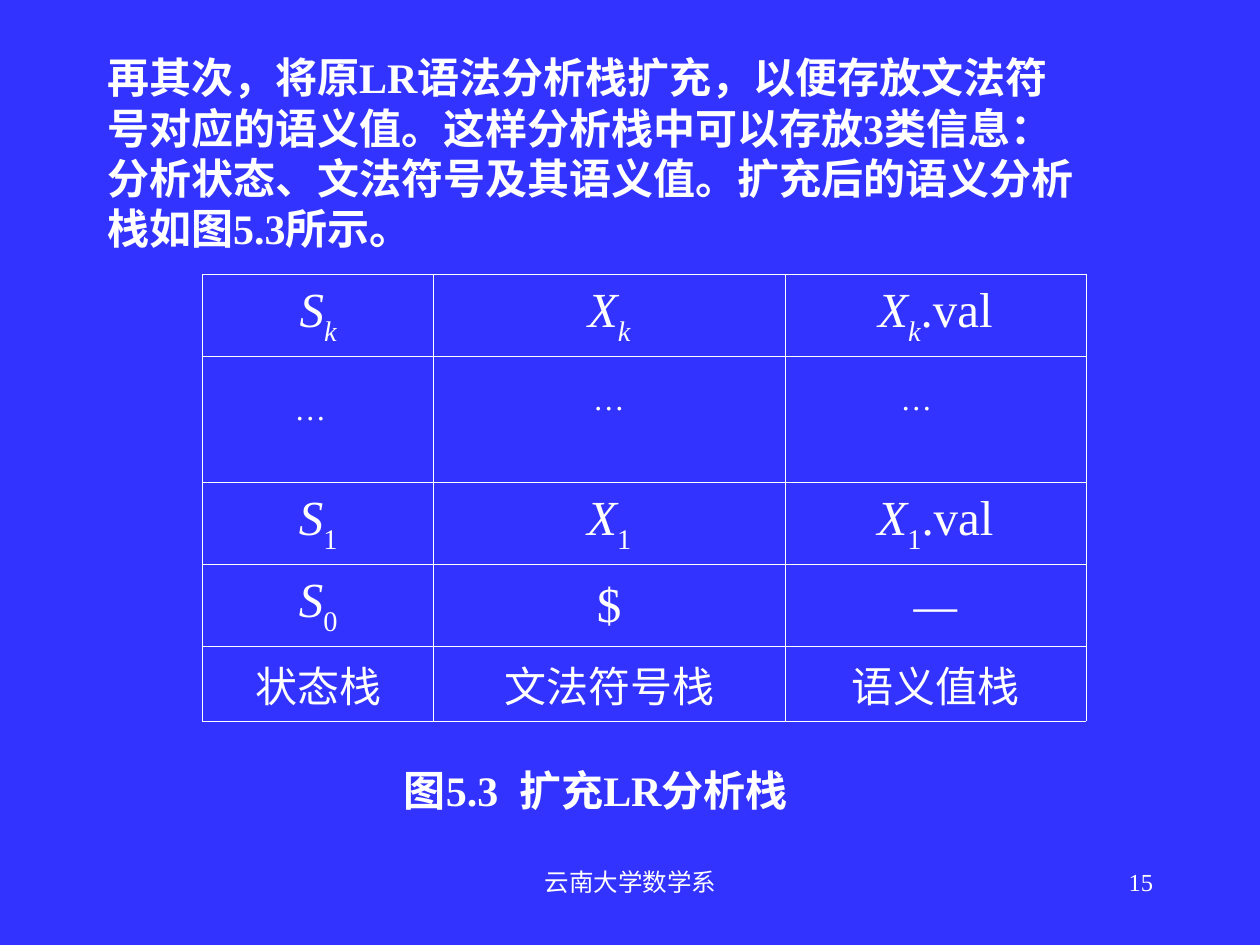
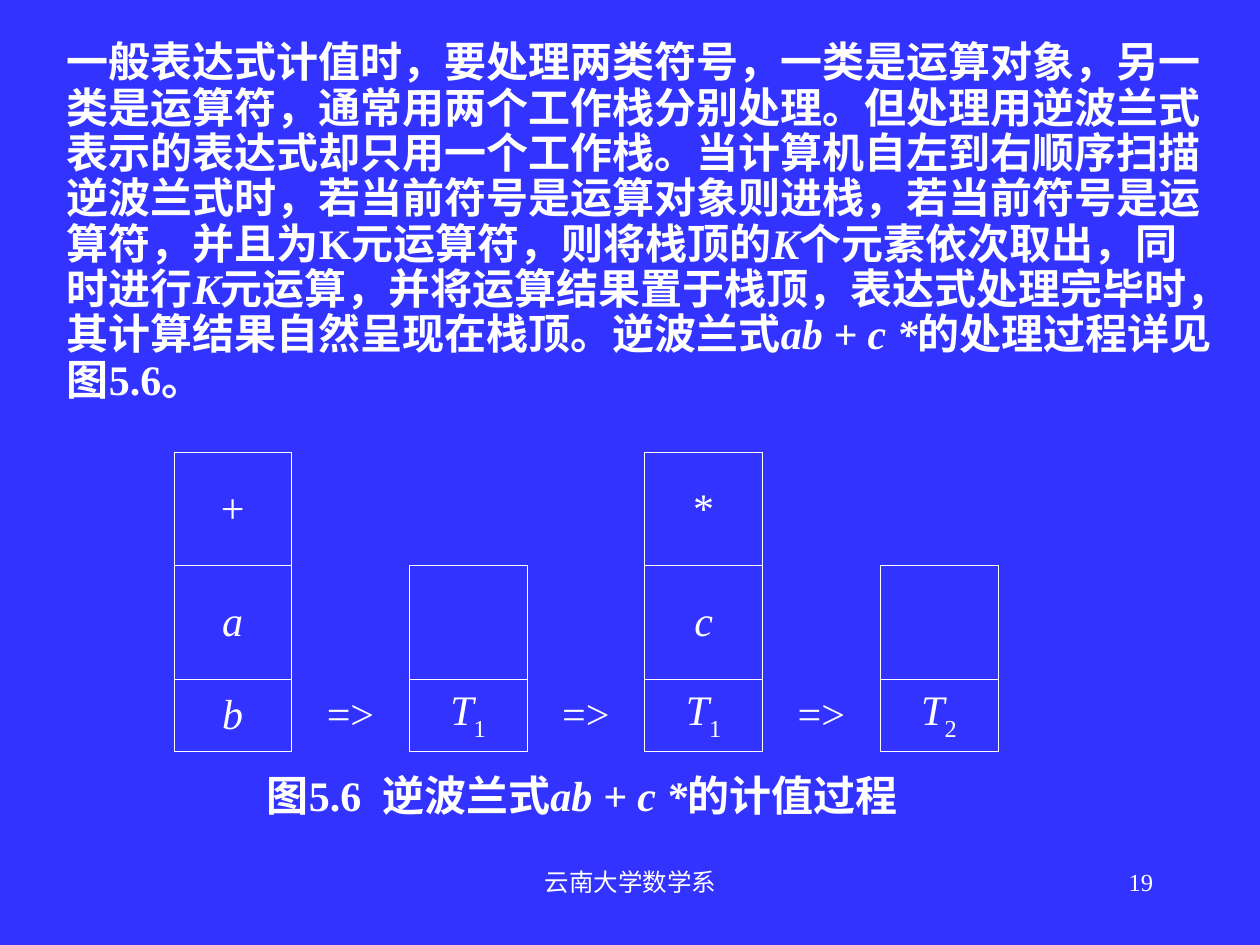
import lxml.etree
import pptx
import pptx.dml.color
import pptx.enum.text
import pptx.oxml.ns
import pptx.util

PIXEL = 9144  # EMU in one px, 100 px to the inch
WHITE = pptx.dml.color.RGBColor(0xFF, 0xFF, 0xFF)
BLUE = pptx.dml.color.RGBColor(0x33, 0x33, 0xFF)
FONT = "Times New Roman"
BORDER_WIDTH = pptx.util.Pt(0.45)
NO_GRID_STYLE = "{2D5ABB26-0587-4C30-8999-92F81FD0307C}"
LEFT = pptx.enum.text.PP_ALIGN.LEFT
CENTER = pptx.enum.text.PP_ALIGN.CENTER
RIGHT = pptx.enum.text.PP_ALIGN.RIGHT
MIDDLE = pptx.enum.text.MSO_ANCHOR.MIDDLE
NEIGHBOURS = {"lnL": (0, -1), "lnR": (0, 1), "lnT": (-1, 0), "lnB": (1, 0)}


def write_runs(text_frame, runs, size, bold=False, **paragraph_format):
    """Write (text, style) runs; style may hold i for italic and _ for subscript."""
    paragraph = text_frame.paragraphs[0]
    for name, value in paragraph_format.items():
        setattr(paragraph, name, value)
    for text, style in runs:
        run = paragraph.add_run()
        run.text = text
        run.font.color.rgb = WHITE
        font_format = {"name": FONT, "size": pptx.util.Pt(size),
                       "bold": bold, "italic": "i" in style}
        for name, value in font_format.items():
            setattr(run.font, name, value)
        if "_" in style:
            run.font._element.set("baseline", "-30000")


def add_stack_table(slide, left, top, widths, heights, cells, boxed):
    """Add a table where only the (row, column) pairs in boxed have borders."""
    frame = slide.shapes.add_table(
        len(heights), len(widths), left * PIXEL, top * PIXEL,
        round(sum(widths) * PIXEL), sum(heights) * PIXEL)
    table = frame.table
    properties = table._tbl.tblPr
    properties.find(pptx.oxml.ns.qn("a:tableStyleId")).text = NO_GRID_STYLE
    table.first_row = table.horz_banding = False
    for column, width in zip(table.columns, widths):
        column.width = round(width * PIXEL)
    for row, height in zip(table.rows, heights):
        row.height = height * PIXEL
    for row in range(len(heights)):
        for column in range(len(widths)):
            cell = table.cell(row, column)
            cell.vertical_anchor = MIDDLE
            cell_properties = cell._tc.get_or_add_tcPr()
            for tag, (down, right) in NEIGHBOURS.items():
                line = lxml.etree.SubElement(
                    cell_properties, pptx.oxml.ns.qn("a:" + tag), w=str(BORDER_WIDTH))
                if {(row, column), (row + down, column + right)} & boxed:
                    fill = lxml.etree.SubElement(line, pptx.oxml.ns.qn("a:solidFill"))
                    lxml.etree.SubElement(
                        fill, pptx.oxml.ns.qn("a:srgbClr"), val=str(WHITE))
                else:
                    lxml.etree.SubElement(line, pptx.oxml.ns.qn("a:noFill"))
            cell.fill.background()
            if (row, column) in cells:
                size, runs = cells[row, column]
                write_runs(cell.text_frame, runs, size, alignment=CENTER)


presentation = pptx.Presentation()
presentation.slide_width = 1000 * PIXEL
presentation.slide_height = 750 * PIXEL
background = presentation.slide_master.background.fill
background.solid()
background.fore_color.rgb = BLUE

stack_intro = [(
    "再其次，将原LR语法分析栈扩充，以便存放文法符号对应的语义值。"
    "这样分析栈中可以存放3类信息：分析状态、文法符号及其语义值。"
    "扩充后的语义分析栈如图5.3所示。", "")]
evaluation_intro = [
    ("一般表达式计值时，要处理两类符号，一类是运算对象，另一类是运算符，"
     "通常用两个工作栈分别处理。但处理用逆波兰式表示的表达式却只用一个工作栈。"
     "当计算机自左到右顺序扫描逆波兰式时，若当前符号是运算对象则进栈，"
     "若当前符号是运算符，并且为K元运算符，则将栈顶的", ""),
    ("K", "i"), ("个元素依次取出，同时进行", ""), ("K", "i"),
    ("元运算，并将运算结果置于栈顶，表达式处理完毕时，"
     "其计算结果自然呈现在栈顶。逆波兰式", ""),
    ("ab + c *", "i"), ("的处理过程详见图5.6。", "")]
stack_caption = [("图5.3  扩充LR分析栈 ", "")]
evaluation_caption = [("图5.6  逆波兰式", ""), ("ab + c *", "i"), ("的计值过程", "")]

# Page number, body box, body spacing, body runs, caption box, alignment, runs
pages = [
    ("15", (75, 36, 795, 226), {"space_before": pptx.util.Pt(6), "line_spacing": 1.0},
     stack_intro, (264, 602, 425, 50), CENTER, stack_caption),
    ("19", (43, 28, 929, 323), {"space_before": pptx.util.Pt(4.5), "line_spacing": 0.9},
     evaluation_intro, (202, 606, 565, 50), LEFT, evaluation_caption),
]
slides = []
for number, body_box, spacing, intro, caption_box, caption_align, caption in pages:
    slide = presentation.slides.add_slide(presentation.slide_layouts[1])
    slides.append(slide)
    title = slide.shapes.title._element
    title.getparent().remove(title)

    body = slide.placeholders[1]
    body.left, body.top, body.width, body.height = [length * PIXEL for length in body_box]
    body.text_frame.auto_size = pptx.enum.text.MSO_AUTO_SIZE.NONE
    write_runs(body.text_frame, intro, 24, bold=True, **spacing)
    paragraph_properties = body.text_frame.paragraphs[0]._p.get_or_add_pPr()
    paragraph_properties.set("marL", "0")
    paragraph_properties.set("indent", "0")
    lxml.etree.SubElement(paragraph_properties, pptx.oxml.ns.qn("a:buNone"))

    text_boxes = [
        ((342, 683, 317, 50), [("云南大学数学系", "")], 14, False, CENTER),
        ((717, 683, 208, 50), [(number, "")], 14, False, RIGHT),
        (caption_box, caption, 24, True, caption_align),
    ]
    for box, runs, size, bold, alignment in text_boxes:
        text_frame = slide.shapes.add_textbox(*[length * PIXEL for length in box]).text_frame
        text_frame.word_wrap = True
        if runs is caption:
            text_frame.vertical_anchor = MIDDLE
        write_runs(text_frame, runs, size, bold, alignment=alignment)

stack_slide, evaluation_slide = slides

# Extended LR analysis stack
stack_cells = {
    (3, 0): (28, [("S", "i"), ("0", "_")]),
    (3, 1): (28, [("$", "")]),
    (3, 2): (28, [("—", "i")]),
}
for row, index, index_style in [(0, "k", "i_"), (2, "1", "_")]:
    for column, (symbol, suffix) in enumerate([("S", ""), ("X", ""), ("X", ".val")]):
        runs = [(symbol, "i"), (index, index_style)]
        if suffix:
            runs.append((suffix, ""))
        stack_cells[row, column] = (28, runs)
for column, stack_name in enumerate(["状态栈", "文法符号栈", "语义值栈"]):
    stack_cells[4, column] = (24, [(stack_name, "")])
every_cell = {(row, column) for row in range(5) for column in range(3)}
add_stack_table(stack_slide, 161, 218, [183, 279, 239], [65, 100, 65, 65, 59],
                stack_cells, every_cell)
for left, top, width, wraps in [(705, 296, 45, False), (461, 296, 87, True),
                                (224, 304, 63, True)]:
    ellipsis_box = stack_slide.shapes.add_textbox(
        left * PIXEL, top * PIXEL, width * PIXEL, 40 * PIXEL)
    ellipsis_box.text_frame.word_wrap = wraps
    write_runs(ellipsis_box.text_frame, [("…", "")], 18, alignment=LEFT)

# Stack states while evaluating, each listed from the top cell down
stack_states = [
    [[("+", "")], [("a", "i")], [("b", "i")]],
    [[], [("T", "i"), ("1", "_")]],
    [[("*", "")], [("c", "i")], [("T", "i"), ("1", "_")]],
    [[], [("T", "i"), ("2", "_")]],
]
evaluation_cells = {(2, column): (24, [("=>", "")]) for column in (1, 3, 5)}
state_cells = set()
for state_index, state in enumerate(stack_states):
    for row, runs in enumerate(state, start=3 - len(state)):
        state_cells.add((row, 2 * state_index))
        evaluation_cells[row, 2 * state_index] = (24, runs)
add_stack_table(evaluation_slide, 138, 359, [654 / 7] * 7, [90, 90, 57],
                evaluation_cells, state_cells)

presentation.save("out.pptx")
